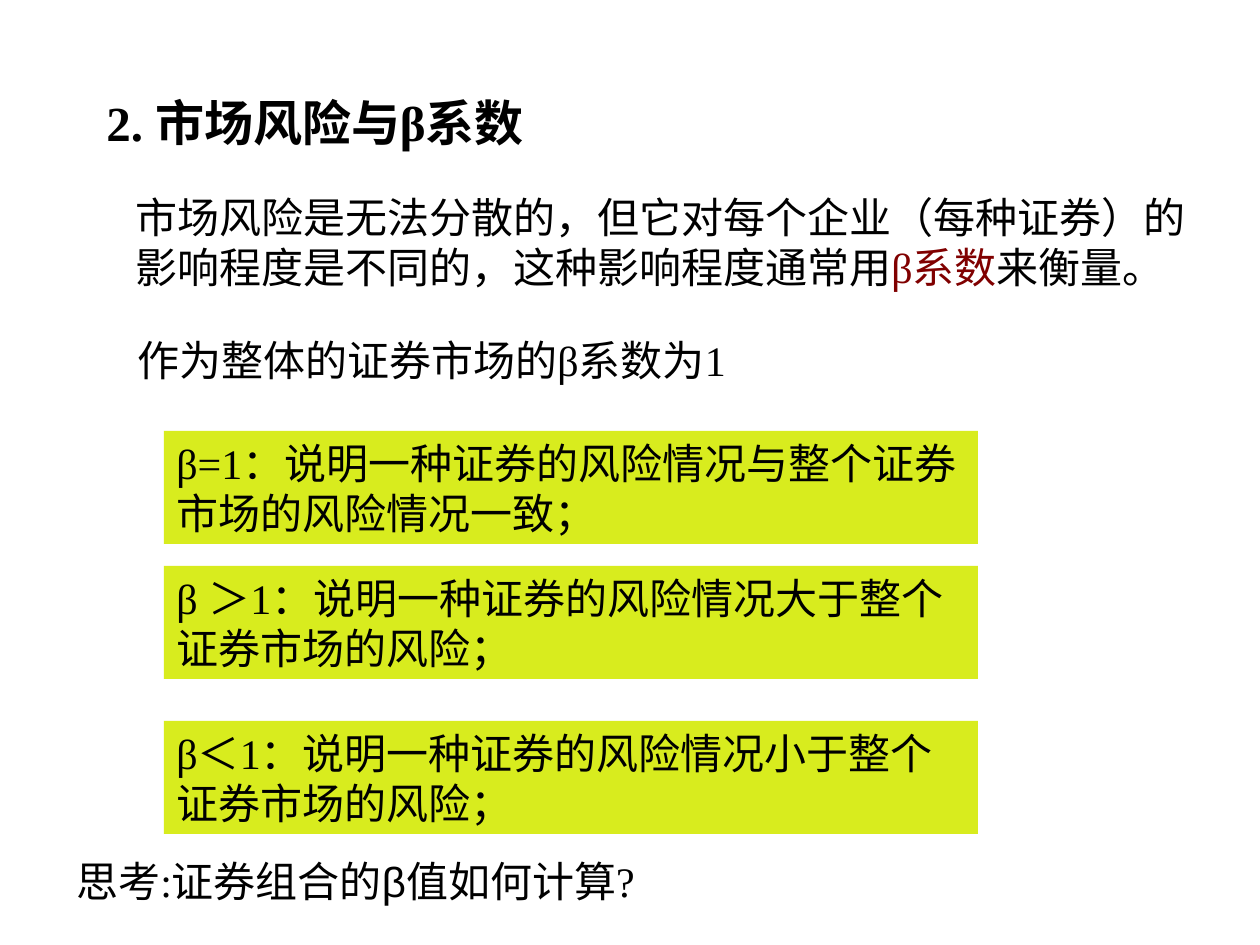
import dataclasses

import pptx
import pptx.dml.color
import pptx.enum.shapes
import pptx.enum.text
import pptx.util

PX = 914400 / 126


@dataclasses.dataclass(frozen=True)
class Theme:
    ink: str = "000000"
    accent: str = "800000"
    card: str = "D8EC1E"
    font: str = "Times New Roman"
    symbol_font: str = "Arial"
    title_size: int = 28
    body_size: int = 24


THEME = Theme()


@dataclasses.dataclass(frozen=True)
class Box:
    left: int
    top: int
    width: int
    height: int

    def emu(self):
        return [round(side * PX) for side in dataclasses.astuple(self)]


def rgb(colour):
    return pptx.dml.color.RGBColor.from_string(colour)


def write(shape, *texts, size=THEME.body_size, bold=False):
    """Fill the shape with one left-aligned paragraph and return its runs."""
    frame = shape.text_frame
    frame.word_wrap = True
    frame.auto_size = pptx.enum.text.MSO_AUTO_SIZE.SHAPE_TO_FIT_TEXT
    frame.vertical_anchor = pptx.enum.text.MSO_ANCHOR.TOP
    para = frame.paragraphs[0]
    para.alignment = pptx.enum.text.PP_ALIGN.LEFT
    spans = []
    for text in texts:
        span = para.add_run()
        span.text = text
        span.font.name = THEME.font
        span.font.size = pptx.util.Pt(size)
        span.font.bold = bold
        span.font.color.rgb = rgb(THEME.ink)
        spans.append(span)
    return spans


def add_title(page, box):
    write(page.shapes.add_textbox(*box.emu()), "2. 市场风险与β系数",
          size=THEME.title_size, bold=True)


def add_introduction(page, box):
    spans = write(
        page.shapes.add_textbox(*box.emu()),
        "市场风险是无法分散的，但它对每个企业（每种证券）的影响程度是不同的，这种影响程度通常用",
        "β系数",
        "来衡量。",
    )
    spans[1].font.color.rgb = rgb(THEME.accent)


def add_market_beta(page, box):
    write(page.shapes.add_textbox(*box.emu()), "作为整体的证券市场的β系数为1")


def add_beta_card(page, box, text):
    card = page.shapes.add_shape(
        pptx.enum.shapes.MSO_SHAPE.RECTANGLE, *box.emu())
    card.shadow.inherit = False
    card.fill.solid()
    card.fill.fore_color.rgb = rgb(THEME.card)
    card.line.fill.background()
    write(card, text)


def add_question(page, box):
    spans = write(page.shapes.add_textbox(*box.emu()),
                  "思考:证券组合的", "β值", "如何计算?")
    spans[1].font.name = THEME.symbol_font


def main():
    deck = pptx.Presentation()
    deck.slide_width = pptx.util.Inches(10)
    deck.slide_height = pptx.util.Inches(7.5)
    page = deck.slides.add_slide(deck.slide_layouts[6])

    add_title(page, Box(94, 86, 725, 72))
    add_introduction(page, Box(123, 185, 1076, 113))
    add_market_beta(page, Box(125, 328, 804, 63))
    beta_cases = [
        (431, "β=1：说明一种证券的风险情况与整个证券市场的风险情况一致；"),
        (566, "β ＞1：说明一种证券的风险情况大于整个证券市场的风险；"),
        (721, "β＜1：说明一种证券的风险情况小于整个证券市场的风险；"),
    ]
    for top, text in beta_cases:
        add_beta_card(page, Box(164, top, 814, 113), text)
    add_question(page, Box(64, 849, 973, 63))

    deck.save("out.pptx")


if __name__ == "__main__":
    main()
